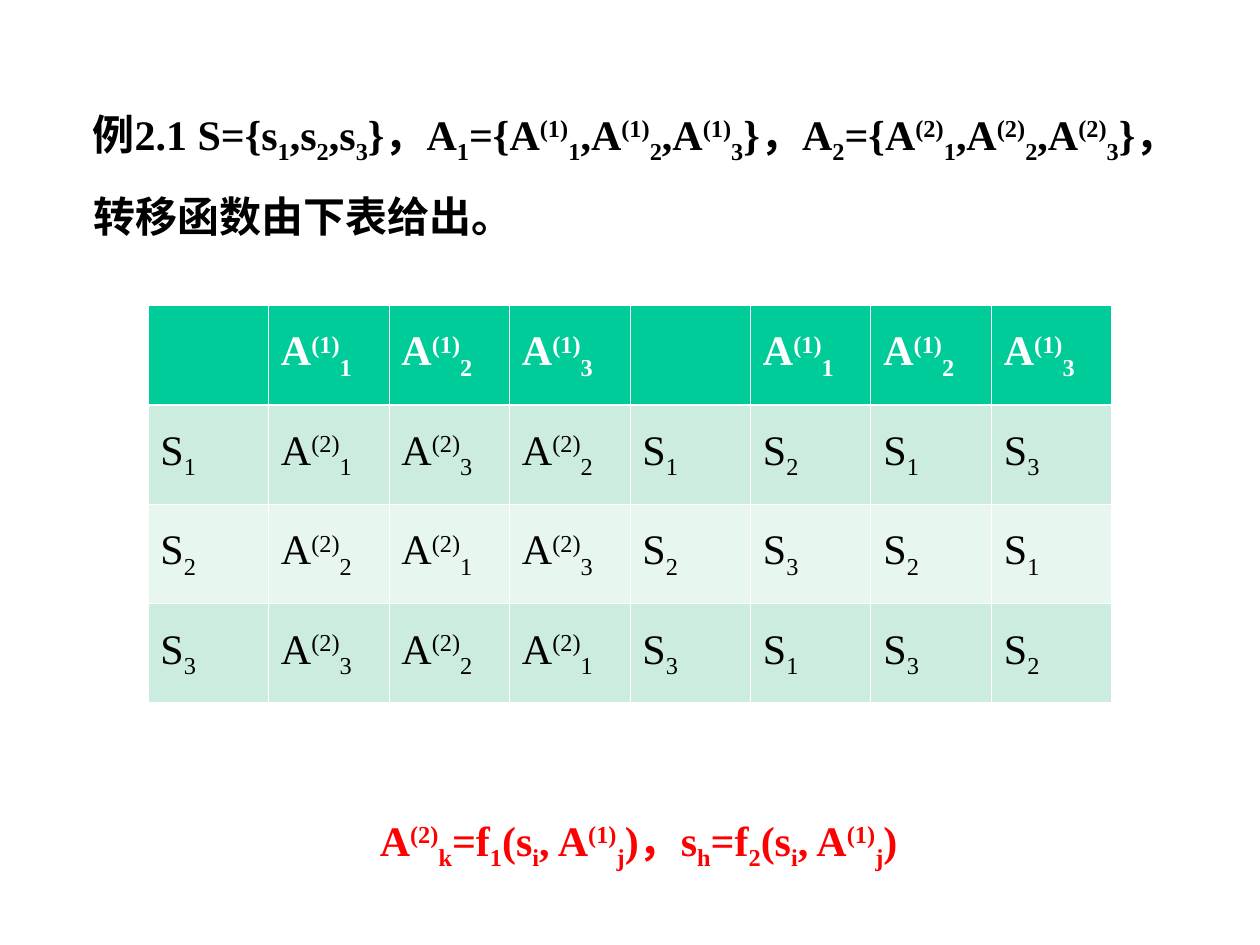
from pptx import Presentation
from pptx.dml.color import RGBColor
from pptx.enum.text import MSO_ANCHOR, PP_ALIGN
from pptx.oxml.ns import qn
from pptx.util import Pt
from lxml.etree import SubElement

COLORS = {"black": "000000", "white": "FFFFFF", "red": "FF0000",
          "header": "00CC99", "odd": "CBECDE", "even": "E7F6EF"}
BASELINES = {"^": "30000", "_": "-25000"}


class SlideBuilder:
    """Holds the text style and the current slide, and adds elements to it."""

    font, size = "Times New Roman", 24

    def __init__(self, s):
        self.s = s

    def color(self, name):
        return RGBColor.from_string(COLORS[name])

    def formula(self, p, markup, color, bold):
        for part in filter(None, markup.split("|")):
            r = p.add_run()
            r.text = part.lstrip("^_")
            r.font.name, r.font.size, r.font.bold = self.font, Pt(self.size), bold
            r.font.color.rgb = self.color(color)
            if part[0] in BASELINES:
                r._r.get_or_add_rPr().set("baseline", BASELINES[part[0]])

    def text(self, x, y, w, h, paragraphs):
        tf = self.s.shapes.add_textbox(Pt(x), Pt(y), Pt(w), Pt(h)).text_frame
        tf.word_wrap = True
        for i, (markup, color, align, before) in enumerate(paragraphs):
            p = tf.add_paragraph() if i else tf.paragraphs[0]
            pPr = p._p.get_or_add_pPr()
            pPr.set("marL", str(Pt(22.5)))
            pPr.set("indent", str(Pt(-0.75)))
            p.alignment, p.line_spacing, p.space_before = align, 1.5, Pt(before)
            self.formula(p, markup, color, True)

    def border(self, cell, side, width):
        ln = SubElement(cell._tc.get_or_add_tcPr(), qn(f"a:ln{side}"), w=str(Pt(width)))
        fill = SubElement(ln, qn("a:solidFill"))
        SubElement(fill, qn("a:srgbClr"), val=COLORS["white"])

    def table(self, x, y, w, h, rows):
        table = self.s.shapes.add_table(len(rows), len(rows[0]), Pt(x), Pt(y), Pt(w), Pt(h)).table
        for i, row in enumerate(rows):
            band = "header" if i == 0 else "odd" if i % 2 else "even"
            for j, markup in enumerate(row):
                cell = table.cell(i, j)
                cell.vertical_anchor = MSO_ANCHOR.MIDDLE
                for side in "LRTB":
                    thick = (side, i) in (("B", 0), ("T", 1))
                    self.border(cell, side, 1.47 if thick else 0.45)
                cell.fill.solid()
                cell.fill.fore_color.rgb = self.color(band)
                self.formula(cell.text_frame.paragraphs[0], markup,
                             "black" if i else "white", i == 0)


def action(level, index):
    return f"A|^({level})|_{index}|"


def state(index):
    return f"S|_{index}|"


def action_set(level):
    members = ",".join(action(level, i) for i in (1, 2, 3))
    return f"A|_{level}|={{{members}}}，"


def main():
    prs = Presentation()
    prs.slide_width, prs.slide_height = Pt(720), Pt(540)
    b = SlideBuilder(prs.slides.add_slide(prs.slide_layouts[6]))

    example = ("例2.1 S={s|_1|,s|_2|,s|_3|}，" + action_set(1) + action_set(2)
               + "转移函数由下表给出。")
    transfer = (f"{action(2, 'k')}=f|_1|(s|_i|, {action(1, 'j')})，"
                f"s|_h|=f|_2|(s|_i|, {action(1, 'j')})")
    b.text(24, 42, 660, 471.6, [(example, "black", PP_ALIGN.LEFT, 0),
                                (transfer, "red", PP_ALIGN.CENTER, 311)])

    header = [""] + [action(1, i) for i in (1, 2, 3)]
    replies = ["132", "213", "321"]
    next_states = ["213", "321", "132"]
    rows = [header * 2]
    for i, (reply, following) in enumerate(zip(replies, next_states), 1):
        rows.append([state(i)] + [action(2, k) for k in reply]
                    + [state(i)] + [state(k) for k in following])
    b.table(84.5, 174.5, 551, 227.2, rows)
    prs.save("out.pptx")


if __name__ == "__main__":
    main()
